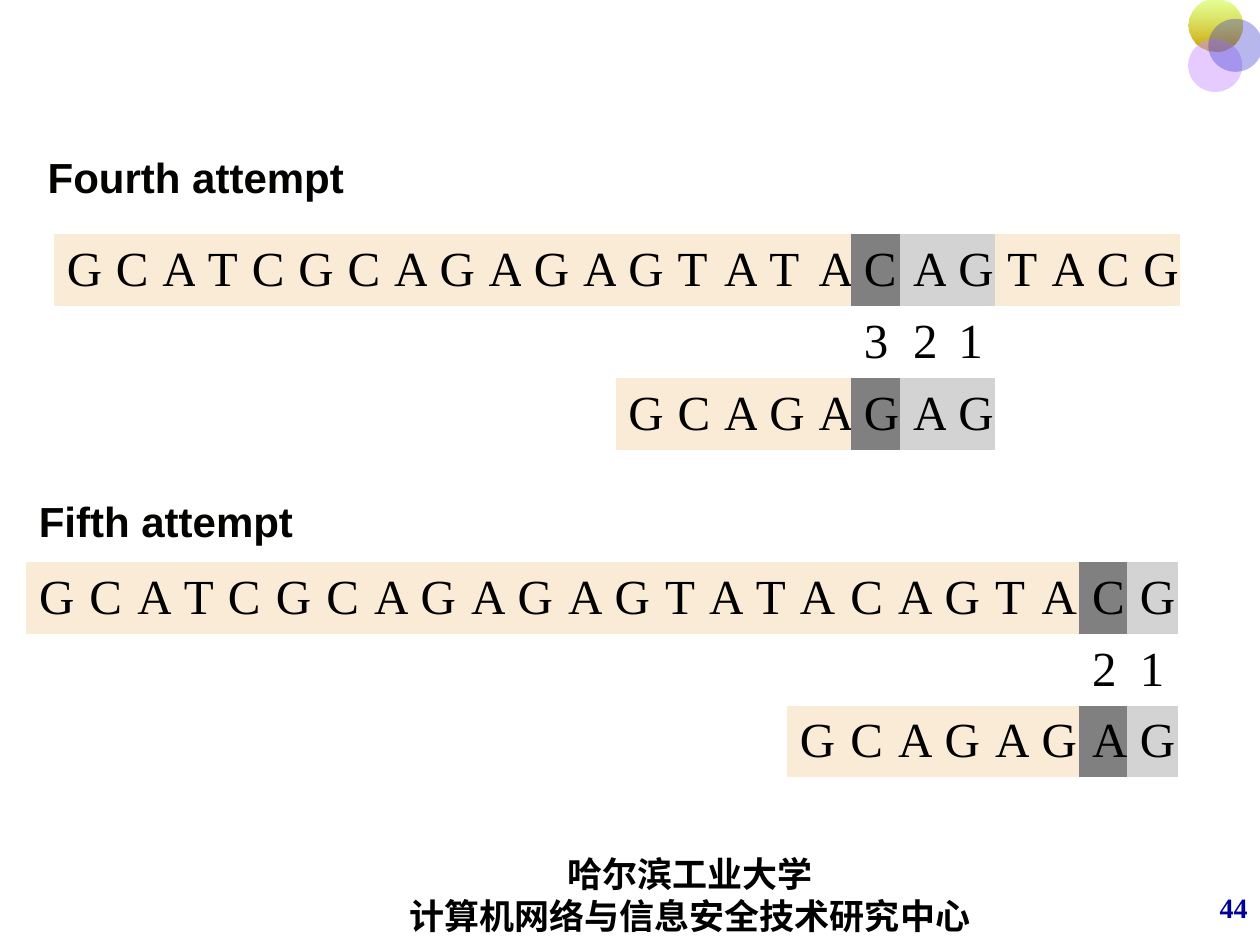
from dataclasses import dataclass
from itertools import groupby
from typing import Optional

from lxml import etree
from pptx import Presentation
from pptx.dml.color import RGBColor
from pptx.enum.shapes import MSO_SHAPE
from pptx.enum.text import MSO_ANCHOR, MSO_AUTO_SIZE, PP_ALIGN
from pptx.oxml.ns import qn
from pptx.util import Inches, Pt

OVAL = MSO_SHAPE.OVAL
MIDDLE = MSO_ANCHOR.MIDDLE
NO_FIT, GROW = MSO_AUTO_SIZE.NONE, MSO_AUTO_SIZE.SHAPE_TO_FIT_TEXT
LEFT, CENTER, RIGHT = PP_ALIGN.LEFT, PP_ALIGN.CENTER, PP_ALIGN.RIGHT


@dataclass(frozen=True)
class Theme:
    serif: str = "Times New Roman"
    sans: str = "Arial"
    heading_size: int = 24
    letter_size: int = 28
    footer_size: int = 20
    number_size: int = 16
    black: str = "000000"
    heading: str = "030301"
    number: str = "000099"
    blank: str = "FFFFFF"
    sequence: str = "FAEBD7"
    mismatch: str = "808080"
    match: str = "D3D3D3"
    no_grid: str = "{2D5ABB26-0587-4C30-8999-92F81FD0307C}"


THEME = Theme()


@dataclass(frozen=True)
class Label:
    lines: tuple[str, ...]
    box: tuple[float, float, float, float]
    font: str
    size: int
    color: str
    align: PP_ALIGN = LEFT
    fit: MSO_AUTO_SIZE = NO_FIT
    wrap: bool = False


@dataclass(frozen=True)
class Circle:
    left: float
    top: float
    color: str
    alpha: int
    end_color: Optional[str] = None


@dataclass(frozen=True)
class Attempt:
    left: float
    top: float
    widths: dict[str, float]
    pattern: str
    pattern_start: int
    mismatch: int


ROW_HEIGHT = 0.57
GENOME = "GCATCGCAGAGAGTATACAGTACG"
ATTEMPTS = (
    Attempt(0.21, 4.46, {"G": 0.4, "C": 0.38, "A": 0.37, "T": 0.35},
            "GCAGAGAG", 16, 22),
    Attempt(0.43, 1.86, {"G": 0.39, "C": 0.37, "A": 0.36, "T": 0.35},
            "GCAGAGAG", 12, 17),
)
LABELS = (
    Label(("44",), (9.22, 6.95, 0.78, 0.5), THEME.serif, THEME.number_size,
          THEME.number, RIGHT, wrap=True),
    Label(("哈尔滨工业大学", "计算机网络与信息安全技术研究中心"),
          (2.56, 6.74, 5.83, 0.71), THEME.serif, THEME.footer_size,
          THEME.black, CENTER),
    Label(("Fifth attempt",), (0.21, 3.88, 2.26, 0.5), THEME.sans,
          THEME.heading_size, THEME.heading, fit=GROW),
    Label(("Fourth attempt",), (0.28, 1.15, 2.59, 0.5), THEME.sans,
          THEME.heading_size, THEME.heading, fit=GROW),
)
CIRCLE_SIZE = (0.43, 0.42)
CIRCLES = (
    Circle(9.43, -0.01, "CCFF33", 50, "CC9900"),
    Circle(9.43, 0.31, "CC99FF", 50),
    Circle(9.59, 0.15, "3333CC", 35),
)


def set_font(font, name: str, size: int, color: str, bold: bool) -> None:
    for key, value in {"name": name, "size": Pt(size), "bold": bold}.items():
        setattr(font, key, value)
    font.color.rgb = RGBColor.from_string(color)


def add_label(shapes, label: Label) -> None:
    tf = shapes.add_textbox(*map(Inches, label.box)).text_frame
    settings = {"word_wrap": label.wrap, "auto_size": label.fit,
                "vertical_anchor": MIDDLE}
    for key, value in settings.items():
        setattr(tf, key, value)
    for i, line in enumerate(label.lines):
        p = tf.add_paragraph() if i else tf.paragraphs[0]
        p.alignment = label.align
        r = p.add_run()
        r.text = line
        set_font(r.font, label.font, label.size, label.color, True)


def add_circle(shapes, circle: Circle) -> None:
    s = shapes.add_shape(OVAL, Inches(circle.left), Inches(circle.top),
                         *map(Inches, CIRCLE_SIZE))
    s.shadow.inherit = False
    s.line.fill.background()
    if circle.end_color:
        s.fill.gradient()
        s.fill.gradient_angle = 270
        stops = s.fill.gradient_stops
        for stop, color in zip(stops, (circle.color, circle.end_color)):
            stop.color.rgb = RGBColor.from_string(color)
    else:
        s.fill.solid()
        s.fill.fore_color.rgb = RGBColor.from_string(circle.color)
    first = next(s._element.spPr.iter(qn("a:srgbClr")))
    etree.SubElement(first, qn("a:alpha")).set("val", str(circle.alpha * 1000))


def cell_color(attempt: Attempt, row: int, col: int, text: str) -> str:
    if row == 1 or text == " ":
        return THEME.blank
    if col == attempt.mismatch:
        return THEME.mismatch
    end = attempt.pattern_start + len(attempt.pattern)
    return THEME.match if attempt.mismatch < col < end else THEME.sequence


def add_attempt(shapes, attempt: Attempt) -> None:
    count = len(GENOME)
    end = attempt.pattern_start + len(attempt.pattern)
    steps = "".join(str(end - col) for col in range(attempt.mismatch, end))
    rows = (
        GENOME,
        (" " * attempt.mismatch + steps).ljust(count),
        (" " * attempt.pattern_start + attempt.pattern).ljust(count),
    )
    widths = [max(attempt.widths.get(x, 0) for x in (top, bottom))
              for top, bottom in zip(rows[0], rows[2])]
    frame = shapes.add_table(len(rows), count, Inches(attempt.left),
                             Inches(attempt.top), Inches(sum(widths)),
                             Inches(ROW_HEIGHT * len(rows)))
    table = frame.table
    table.first_row = table.horz_banding = False
    next(frame._element.iter(qn("a:tableStyleId"))).text = THEME.no_grid
    for column, width in zip(table.columns, widths):
        column.width = Inches(width)
    for i, text in enumerate(rows):
        table.rows[i].height = Inches(ROW_HEIGHT)
        for j, letter in enumerate(text):
            cell = table.cell(i, j)
            cell.fill.solid()
            cell.fill.fore_color.rgb = RGBColor.from_string(
                cell_color(attempt, i, j, letter))
            if letter != " ":
                cell.vertical_anchor = MIDDLE
                r = cell.text_frame.paragraphs[0].add_run()
                r.text = letter
                set_font(r.font, THEME.serif, THEME.letter_size,
                         THEME.black, False)
        for blank, group in groupby(range(count), lambda j: text[j] == " "):
            cols = list(group)
            if blank:
                table.cell(i, cols[0]).merge(table.cell(i, cols[-1]))


def main() -> None:
    prs = Presentation()
    prs.slide_width, prs.slide_height = Inches(10), Inches(7.5)
    shapes = prs.slides.add_slide(prs.slide_layouts[6]).shapes
    circles = shapes.add_group_shape().shapes
    for circle in CIRCLES:
        add_circle(circles, circle)
    for label in LABELS:
        add_label(shapes, label)
    for attempt in ATTEMPTS:
        add_attempt(shapes, attempt)
    prs.save("out.pptx")


if __name__ == "__main__":
    main()
